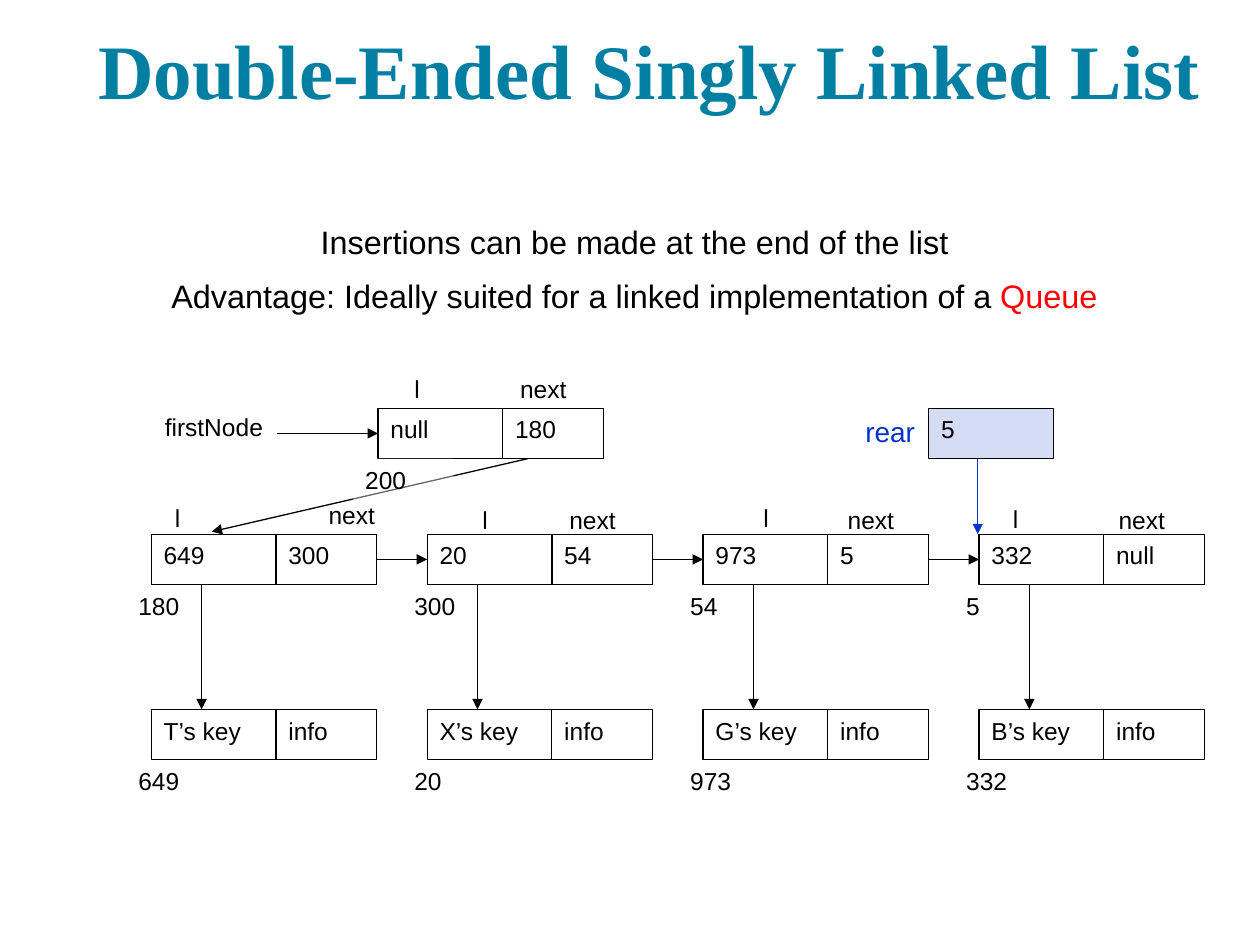
from lxml import etree
from pptx import Presentation
from pptx.dml.color import RGBColor
from pptx.enum import shapes, text
from pptx.oxml.ns import qn
from pptx.util import Inches, Pt

COLORS = {
    "title": "007FA3",
    "ink": "000000",
    "accent": "FF0000",
    "rear": "0033CC",
    "paper": "FFFFFF",
}
DATA_WIDTH, NEXT_WIDTH, CELL_HEIGHT = 0.99, 0.8, 0.4
HEADER_TOP, NODE_TOP, KEY_TOP = 3.24, 4.24, 5.63
FIRST_LEFT, NODE_STEP = 1.2, 2.19
ADDRESS_SHIFT, POINTER_SHIFT = -0.2, 0.4

NODES = [
    ("649", "300", "180", "T’s key"),
    ("20", "54", "300", "X’s key"),
    ("973", "5", "54", "G’s key"),
    ("332", "null", "5", "B’s key"),
]
FIELD_LABELS = [
    ("l", 3.19, 2.92), ("next", 4.03, 2.92),
    ("l", 1.29, 3.94), ("next", 2.51, 3.92),
    ("l", 3.73, 3.96), ("next", 4.42, 3.96),
    ("l", 5.96, 3.94), ("next", 6.63, 3.96),
    ("l", 7.94, 3.95), ("next", 8.78, 3.96),
]


class Diagram:
    def __init__(self, slide):
        self.slide = slide
        self.font = "Arial"
        self.size = 14
        self.line_width = Pt(0.75)

    def color(self, name):
        return RGBColor.from_string(COLORS[name])

    def style(self, paragraph, size=None, color="ink", font=None, bold=False):
        paragraph.font.name = font or self.font
        paragraph.font.size = Pt(size or self.size)
        paragraph.font.bold = bold
        paragraph.font.color.rgb = self.color(color)

    def frame(self, left, top, width, height, inset=None):
        box = self.slide.shapes.add_textbox(*map(Inches, (left, top, width, height)))
        frame = box.text_frame
        frame.word_wrap = True
        if inset:
            frame.margin_top = frame.margin_bottom = Inches(inset)
        return frame

    def title(self, words):
        frame = self.frame(0.68, 0.06, 9, 0.95, 0.1)
        frame.vertical_anchor = text.MSO_ANCHOR.BOTTOM
        paragraph = frame.paragraphs[0]
        paragraph.text = words
        self.style(paragraph, 44, "title", "Times New Roman", True)

    def body(self, lines):
        frame = self.frame(0.23, 1.75, 9.5, 0.89, 0.1)
        for index, runs in enumerate(lines):
            paragraph = frame.add_paragraph() if index else frame.paragraphs[0]
            paragraph.alignment = text.PP_ALIGN.CENTER
            paragraph.line_spacing = 0.7
            paragraph.space_before = Pt(15)
            properties = paragraph._p.get_or_add_pPr()
            properties.set("marL", str(Inches(0.33)))
            properties.set("indent", str(Inches(-0.22)))
            self.style(paragraph, 18.5)
            for words, color in runs:
                run = paragraph.add_run()
                run.text = words
                run.font.color.rgb = self.color(color)

    def label(self, words, left, top, width=0.8, height=0.4, **style):
        paragraph = self.frame(left, top, width, height).paragraphs[0]
        paragraph.text = words
        self.style(paragraph, **style)

    def cell(self, words, left, top, width, fill=None, opacity=100, outline=True):
        shape = self.slide.shapes.add_shape(
            shapes.MSO_SHAPE.RECTANGLE, *map(Inches, (left, top, width, CELL_HEIGHT)))
        shape.shadow.inherit = False
        if fill:
            shape.fill.solid()
            shape.fill.fore_color.rgb = self.color(fill)
            if opacity < 100:
                color = shape.fill._xPr.find(".//" + qn("a:srgbClr"))
                etree.SubElement(color, qn("a:alpha")).set("val", str(opacity * 1000))
        else:
            shape.fill.background()
        if outline:
            shape.line.color.rgb = self.color("ink")
            shape.line.width = self.line_width
        else:
            shape.line.fill.background()
        frame = shape.text_frame
        frame.vertical_anchor = text.MSO_ANCHOR.TOP
        paragraph = frame.paragraphs[0]
        paragraph.text = words
        paragraph.alignment = text.PP_ALIGN.LEFT
        self.style(paragraph)
        return shape

    def record(self, data, link, left, top, **data_style):
        return (self.cell(data, left, top, DATA_WIDTH, **data_style),
                self.cell(link, left + DATA_WIDTH, top, NEXT_WIDTH,
                          fill=None if "opacity" in data_style else data_style.get("fill")))

    def arrow(self, start, end, color="ink", source=None, target=None):
        connector = self.slide.shapes.add_connector(
            shapes.MSO_CONNECTOR.STRAIGHT, *map(Inches, (*start, *end)))
        if source:
            connector.begin_connect(source, 3)
        if target:
            connector.end_connect(target, 1)
        connector.line.color.rgb = self.color(color)
        connector.line.width = self.line_width
        line = connector.line._get_or_add_ln()
        etree.SubElement(line, qn("a:tailEnd")).set("type", "triangle")
        etree.SubElement(connector._element.spPr, qn("a:effectLst"))


def main():
    presentation = Presentation()
    presentation.slide_width, presentation.slide_height = Inches(10), Inches(7.5)
    diagram = Diagram(presentation.slides.add_slide(presentation.slide_layouts[6]))

    diagram.title("Double-Ended Singly Linked List")
    diagram.body([
        [("Insertions can be made at the end of the list", "ink")],
        [("Advantage: Ideally suited for a linked implementation of a ", "ink"),
         ("Queue", "accent")],
    ])

    for words, left, top in FIELD_LABELS:
        diagram.label(words, left, top, 0.4 if words == "l" else 0.8)

    diagram.arrow((4.19, HEADER_TOP + CELL_HEIGHT), (1.68, 4.22))
    header, _ = diagram.record("null", "180", 3, HEADER_TOP, fill="paper", opacity=40)
    diagram.cell("200", 3 + ADDRESS_SHIFT, HEADER_TOP + CELL_HEIGHT, 0.8,
                 fill="paper", opacity=40, outline=False)
    diagram.label("firstNode", 1.21, 3.22, 1.27, 0.56)
    header_middle = HEADER_TOP + CELL_HEIGHT / 2
    diagram.arrow((2.2, header_middle), (3, header_middle), target=header)

    previous = None
    for index, (data, link, address, key) in enumerate(NODES):
        left = FIRST_LEFT + index * NODE_STEP
        node, next_cell = diagram.record(data, link, left, NODE_TOP)
        diagram.record(key, "info", left, KEY_TOP, fill="paper")
        diagram.label(address, left + ADDRESS_SHIFT, NODE_TOP + CELL_HEIGHT)
        diagram.label(data, left + ADDRESS_SHIFT, KEY_TOP + CELL_HEIGHT)
        pointer = left + POINTER_SHIFT
        diagram.arrow((pointer, NODE_TOP + CELL_HEIGHT), (pointer, KEY_TOP))
        if previous:
            middle = NODE_TOP + CELL_HEIGHT / 2
            diagram.arrow((left - 0.4, middle), (left, middle),
                          source=previous, target=node)
        previous = next_cell

    diagram.label("rear", 6.77, HEADER_TOP, size=16, color="rear")
    diagram.cell("5", 7.37, HEADER_TOP, DATA_WIDTH, fill="rear", opacity=17)
    diagram.arrow((7.76, HEADER_TOP + CELL_HEIGHT), (7.76, NODE_TOP), color="rear")

    presentation.save("out.pptx")


if __name__ == "__main__":
    main()
